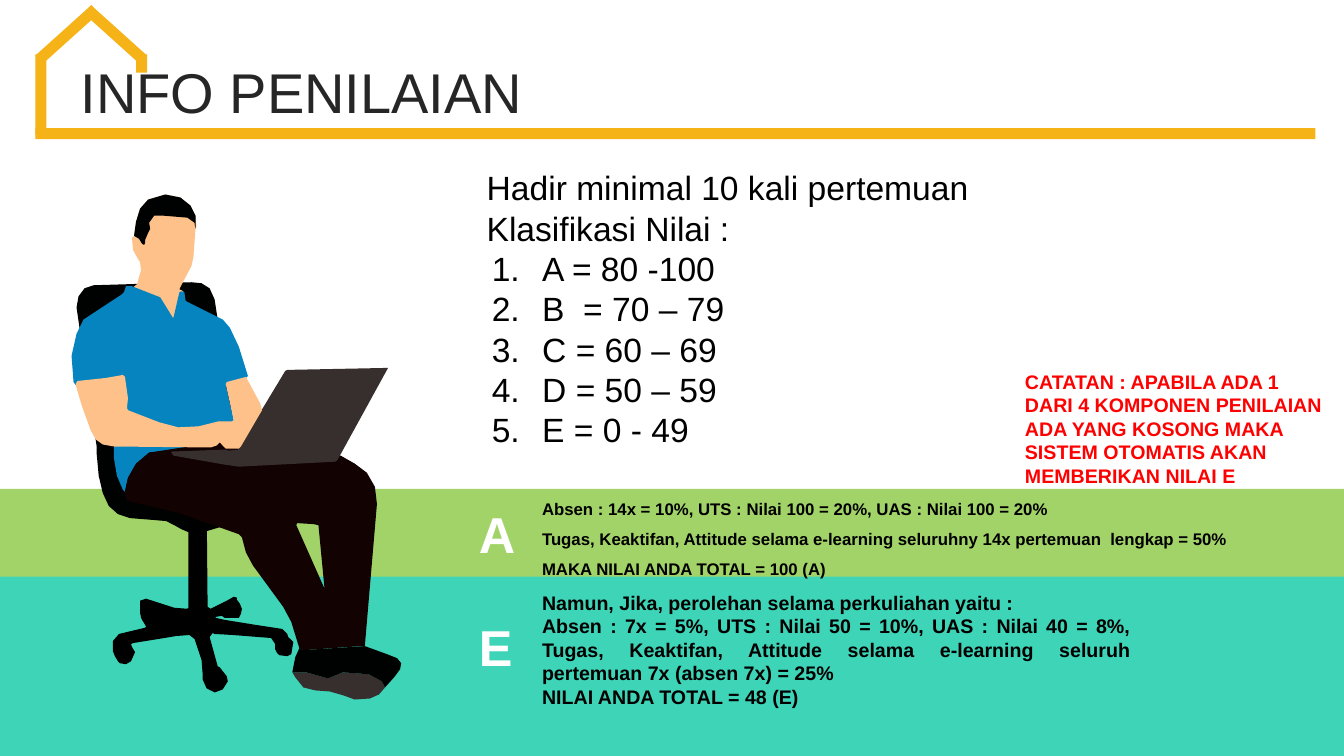
from lxml.etree import SubElement as Sub
from pptx import Presentation
from pptx.dml.color import RGBColor as RGB
from pptx.enum.shapes import MSO_SHAPE as Shape
from pptx.enum.text import MSO_ANCHOR as Anchor, MSO_AUTO_SIZE as Fit, PP_ALIGN as Align
from pptx.oxml.ns import qn
from pptx.util import Cm, Pt

GOLD = RGB(0xF5, 0xB3, 0x17)
TEAL = RGB(0x3E, 0xD4, 0xB7)
GREEN = RGB(0xA2, 0xD3, 0x68)
WHITE = RGB(0xFF, 0xFF, 0xFF)
BLACK = RGB(0x00, 0x00, 0x00)
GREY = RGB(0x26, 0x26, 0x26)
RED = RGB(0xFF, 0x00, 0x00)
INK = RGB(0x00, 0x01, 0x01)
SKIN = RGB(0xFE, 0xC1, 0x8A)
BLUE = RGB(0x06, 0x84, 0xBF)
BROWN = RGB(0x12, 0x02, 0x02)
STONE = RGB(0x37, 0x2F, 0x2E)
UNIT = Cm(2.54) / 100

HOUSE = [
    (0.89, 3.23, 32.26, 0.28, 0),
    (0.89, 1.37, 0.28, 2.03, 0),
    (3.43, 1.37, 0.28, 0.46, 0),
    (1.55, -0.08, 0.28, 1.9, 48),
    (2.77, -0.08, 0.28, 1.9, 312),
]
GRADES = ["A = 80 -100", "B  = 70 – 79", "C = 60 – 69", "D = 50 – 59", "E = 0 - 49"]
HEADS = ["Hadir minimal 10 kali pertemuan", "Klasifikasi Nilai :"]
FULL = [
    "Absen : 14x = 10%, UTS : Nilai 100 = 20%, UAS : Nilai 100 = 20%",
    "Tugas, Keaktifan, Attitude selama e-learning seluruhny 14x pertemuan  lengkap = 50%",
    "MAKA NILAI ANDA TOTAL = 100 (A)",
]
HALF = [
    "Namun, Jika, perolehan selama perkuliahan yaitu :",
    "Absen : 7x = 5%, UTS : Nilai 50 = 10%, UAS : Nilai 40 = 8%, Tugas, Keaktifan, "
    "Attitude selama e-learning seluruh pertemuan 7x (absen 7x) = 25%",
    "NILAI ANDA TOTAL = 48 (E)",
]
NOTE = ["CATATAN : APABILA ADA 1 DARI 4 KOMPONEN PENILAIAN ADA YANG KOSONG MAKA "
        "SISTEM OTOMATIS AKAN MEMBERIKAN NILAI E"]

CHAIR = [
    (322, 484), (317, 474), (309, 468), (296, 467), (256, 463), (238, 460), (213, 297),
    (208, 286), (200, 281), (190, 280), (93, 283), (84, 286), (78, 294), (76, 305),
    (96, 443), (96, 450), (98, 472), (102, 489), (108, 502), (117, 510), (129, 514),
    (154, 516), (165, 517), (173, 521), (180, 525), (187, 528), (205, 527), (308, 496),
    (318, 492)]
HEAD = [
    (189, 204), (179, 196), (164, 193), (147, 198), (139, 207), (135, 220), (133, 234),
    (131, 236), (132, 248), (137, 257), (139, 260), (140, 268), (136, 282), (131, 286),
    (131, 290), (172, 316), (182, 289), (178, 287), (181, 281), (182, 279), (190, 264),
    (192, 255), (194, 227), (195, 225), (194, 214)]
SHIRT = [
    (246, 373), (237, 344), (228, 325), (221, 317), (185, 299), (184, 298), (183, 290),
    (180, 289), (178, 290), (172, 316), (159, 295), (131, 284), (125, 284), (123, 290),
    (121, 292), (83, 317), (76, 331), (71, 353), (73, 379), (75, 382), (122, 373),
    (120, 395), (113, 445), (113, 454), (116, 472), (122, 486), (124, 488), (127, 474),
    (135, 460), (148, 449), (237, 440), (224, 382), (225, 380), (244, 375)]
BASE = [
    (288, 634), (286, 632), (285, 629), (280, 624), (254, 620), (223, 615), (214, 613),
    (214, 612), (220, 611), (223, 613), (237, 613), (239, 609), (240, 604), (238, 599),
    (235, 595), (235, 593), (232, 592), (225, 596), (209, 604), (206, 602), (205, 497),
    (187, 497), (187, 603), (186, 604), (173, 603), (145, 594), (139, 596), (139, 608),
    (140, 613), (141, 615), (144, 620), (145, 622), (143, 623), (118, 629), (112, 636),
    (112, 646), (114, 651), (117, 656), (119, 658), (125, 659), (130, 656), (134, 647),
    (131, 642), (130, 639), (132, 638), (157, 634), (175, 631), (188, 630), (193, 634),
    (200, 655), (201, 668), (201, 674), (205, 683), (213, 687), (221, 684), (226, 676),
    (225, 671), (218, 662), (216, 661), (208, 632), (211, 628), (213, 629), (231, 630),
    (269, 633), (273, 639), (273, 644), (275, 648), (277, 650), (285, 651), (289, 649),
    (291, 637)]
LEGS = [
    (338, 452), (352, 460), (364, 469), (372, 483), (374, 500), (362, 641), (358, 641),
    (301, 645), (297, 643), (289, 617), (281, 602), (251, 561), (244, 548), (240, 533),
    (237, 530), (178, 509), (126, 497), (125, 494), (124, 487), (127, 474), (135, 460),
    (148, 449), (233, 436), (290, 443)]
GAP = [(322, 584), (316, 521), (311, 520), (295, 519), (294, 521)]
LAPTOP = [
    (335, 456), (333, 458), (237, 463), (223, 461), (172, 452), (170, 449), (170, 448),
    (223, 446), (236, 446), (283, 368), (285, 367), (384, 365), (385, 365)]
ARMS = [
    (260, 407), (239, 443), (237, 445), (224, 445), (218, 439), (215, 442), (209, 444),
    (113, 443), (102, 441), (95, 436), (90, 427), (81, 402), (76, 385), (75, 381),
    (77, 378), (105, 375), (122, 372), (124, 374), (127, 395), (126, 405), (127, 407),
    (158, 419), (177, 424), (197, 423), (217, 418), (230, 418), (232, 417), (224, 381),
    (225, 379), (244, 374), (258, 400)]
SOLE = [
    (290, 667), (304, 667), (318, 671), (325, 673), (328, 672), (340, 667), (366, 669),
    (379, 676), (382, 682), (376, 689), (367, 693), (352, 694), (341, 690), (327, 686),
    (313, 685), (301, 682), (293, 672)]
HAIR = [
    (194, 227), (193, 221), (186, 216), (162, 214), (153, 214), (148, 221), (149, 227),
    (147, 231), (144, 238), (144, 241), (143, 243), (141, 242), (138, 237), (133, 234),
    (135, 220), (139, 207), (147, 198), (164, 193), (179, 196), (189, 204), (194, 214),
    (194, 225)]
WRIST = [(224, 446), (237, 446), (227, 447)]
SHOE = [
    (394, 653), (384, 649), (362, 641), (301, 645), (297, 643), (293, 652), (290, 667),
    (304, 667), (318, 671), (325, 673), (328, 672), (340, 667), (366, 669), (379, 676),
    (382, 682), (391, 672), (397, 664), (398, 658)]
MAN = [
    (INK, [CHAIR]), (SKIN, [HEAD]), (BLUE, [SHIRT]), (BLACK, [BASE]), (BROWN, [LEGS, GAP]),
    (STONE, [LAPTOP]), (SKIN, [ARMS]), (STONE, [SOLE]), (INK, [HAIR]), (BROWN, [WRIST]),
    (INK, [SHOE]),
]


def paint(shape, color):
    shape.shadow.inherit = False
    shape.fill.solid()
    shape.fill.fore_color.rgb = color
    shape.line.fill.background()


def bar(slide, box, color, turn=0):
    shape = slide.shapes.add_shape(Shape.RECTANGLE, *map(Cm, box))
    shape.rotation = turn
    paint(shape, color)


def outline(slide, rings, color):
    pen = slide.shapes.build_freeform(*rings[0][0], scale=UNIT)
    pen.add_line_segments(rings[0][1:], close=True)
    for ring in rings[1:]:
        pen.move_to(*ring[0])
        pen.add_line_segments(ring[1:], close=True)
    paint(pen.convert_to_shape(), color)


def place(shape, box):
    shape.left, shape.top, shape.width, shape.height = map(Cm, box)


def write(shape, lines, size, color, bold=False, anchor=Anchor.TOP, align=Align.LEFT, space=1):
    frame = shape.text_frame
    frame.word_wrap = True
    frame.auto_size = Fit.NONE
    frame.vertical_anchor = anchor
    for num, line in enumerate(lines):
        para = frame.add_paragraph() if num else frame.paragraphs[0]
        para.alignment = align
        para.line_spacing = space
        para.space_before = Pt(0)
        run = para.add_run()
        run.text = line
        font = run.font
        font.name, font.size, font.bold = "Arial", Pt(size), bold
        font.color.rgb = color
    return frame


def label(slide, box, lines, size, color, **style):
    shape = slide.shapes.add_textbox(*map(Cm, box))
    return write(shape, lines, size, color, bold=True, **style)


def letter(slide, top, text):
    frame = label(slide, (12.07, top, 1.35, 1.55), [text], 36, WHITE, anchor=Anchor.MIDDLE)
    frame.margin_left = frame.margin_right = frame.margin_top = frame.margin_bottom = 0


def indent(para, left, first, number):
    props = para._p.get_or_add_pPr()
    props.set("marL", str(Cm(left)))
    props.set("indent", str(Cm(first)))
    if number:
        Sub(props, qn("a:buFont"), typeface="+mj-lt")
        Sub(props, qn("a:buAutoNum"), type="arabicPeriod")
    else:
        Sub(props, qn("a:buNone"))


def main():
    deck = Presentation()
    deck.slide_width, deck.slide_height = Cm(33.87), Cm(19.05)
    slide = deck.slides.add_slide(deck.slide_layouts[1])
    title, body = slide.placeholders
    place(title, (1.78, 1.4, 31.27, 2.01))
    write(title, ["INFO PENILAIAN"], 40, GREY, anchor=Anchor.MIDDLE, space=0.9)
    place(body, (11.25, 4.09, 14.33, 7.44))
    frame = write(body, HEADS + GRADES, 24, BLACK)
    for num, para in enumerate(frame.paragraphs):
        listed = num >= len(HEADS)
        indent(para, 2.16 if listed else 0.76, -1.27 if listed else 0, listed)

    for *box, turn in HOUSE:
        bar(slide, box, GOLD, turn)
    bar(slide, (0, 14.44, 33.87, 4.61), TEAL)
    bar(slide, (0, 12.32, 33.87, 2.21), GREEN)
    label(slide, (13.41, 12.17, 18.52, 2.57), FULL, 12, BLACK, anchor=Anchor.MIDDLE, space=1.5)
    letter(slide, 12.67, "A")
    for color, rings in MAN:
        outline(slide, rings, color)
    label(slide, (13.41, 14.76, 15.34, 3.25), HALF, 14, BLACK, align=Align.JUSTIFY)
    label(slide, (25.58, 9.19, 8, 3.84), NOTE, 14, RED)
    letter(slide, 15.52, "E")
    deck.save("out.pptx")


if __name__ == "__main__":
    main()
